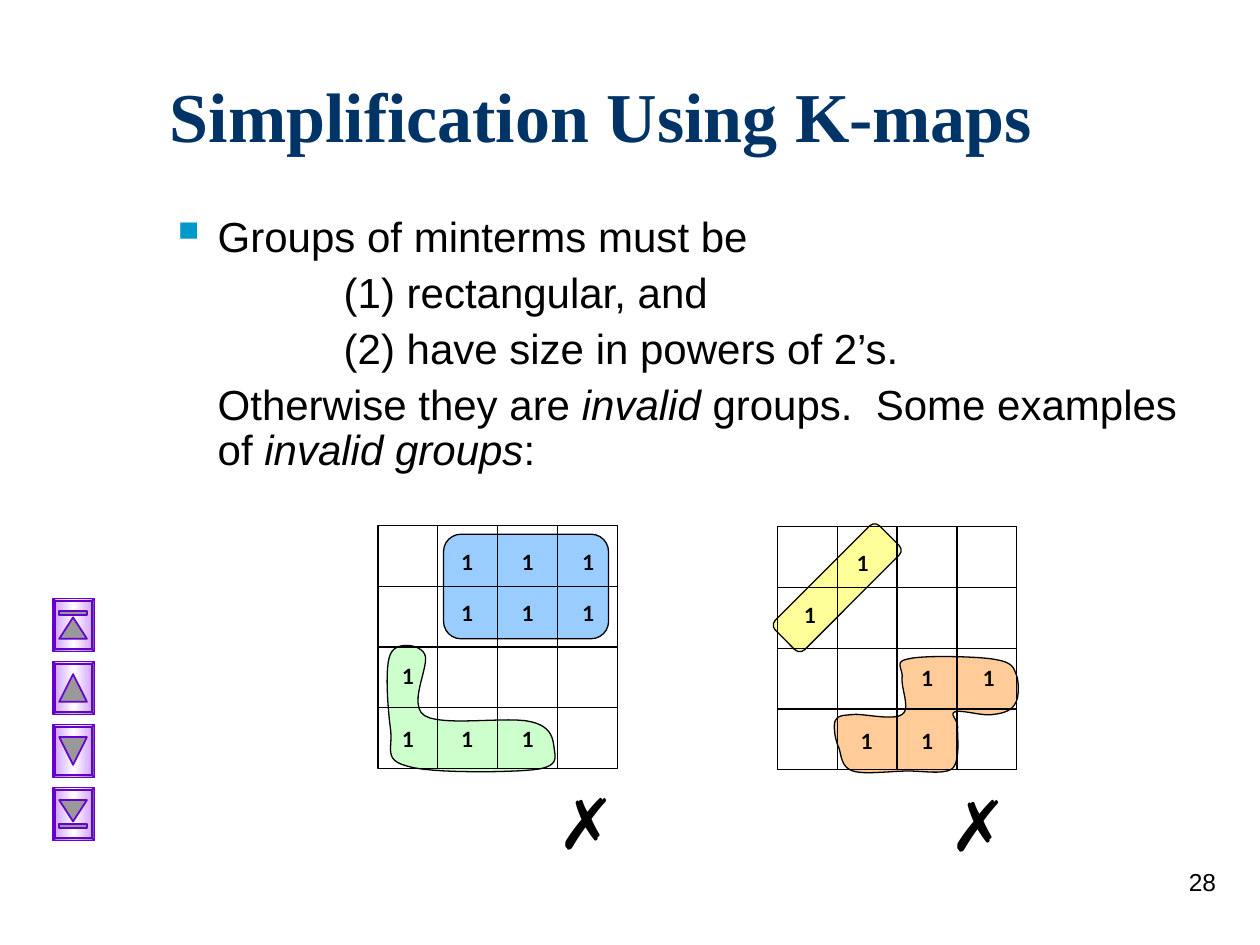
from copy import deepcopy
from dataclasses import dataclass
from typing import Optional

from lxml.etree import SubElement
from pptx import Presentation
from pptx.dml.color import RGBColor
from pptx.enum.shapes import MSO_CONNECTOR as Connector, MSO_SHAPE as Preset
from pptx.enum.text import MSO_ANCHOR as Anchor, PP_ALIGN as Align
from pptx.oxml.ns import qn
from pptx.util import Emu, Pt

EMU_PER_PX = 9144
BLACK, NAVY, CYAN = "000000", "003366", "0099CC"
PURPLE, LILAC, WHITE, GREY = "6600CC", "CC99FF", "FFFFFF", "999999"
GRID_W, GRID_H = 190, 193
ROW_TOPS = (14, 55, 105, 155)
ROW_HEIGHTS = (34, 41, 39, 38)
CURVE_STEPS = 12


@dataclass(frozen=True)
class Span:
    text: str
    italic: bool = False


@dataclass(frozen=True)
class Line:
    spans: tuple
    left: int = 0
    hanging: int = 0
    bullet: Optional[str] = None
    before: float = 0
    spacing: Optional[float] = None


@dataclass(frozen=True)
class Style:
    size: int
    font: str = "Arial"
    color: str = BLACK
    bold: bool = False
    align: Align = Align.LEFT
    anchor: Anchor = Anchor.TOP


@dataclass(frozen=True)
class RoundGroup:
    box: tuple
    color: str
    rotation: int = 0


@dataclass(frozen=True)
class CurvedGroup:
    start: tuple
    curves: tuple
    color: str


@dataclass(frozen=True)
class KMap:
    left: int
    top: int
    groups: tuple
    minterms: tuple
    cross: tuple


@dataclass(frozen=True)
class NavButton:
    preset: Preset
    icon_top: int
    icon_height: int
    bar_top: Optional[int] = None


def px(length: float) -> Emu:
    return Emu(round(length * EMU_PER_PX))


def rgb(color: str) -> RGBColor:
    return RGBColor.from_string(color)


def outline(shape, color: str = BLACK, width: float = 0.75) -> None:
    shape.line.color.rgb = rgb(color)
    shape.line.width = Pt(width)


def paint(shape, color: Optional[str], edge: str = BLACK, width: float = 0.75) -> None:
    shape.shadow.inherit = False
    if color:
        shape.fill.solid()
        shape.fill.fore_color.rgb = rgb(color)
    else:
        shape.fill.background()
    outline(shape, edge, width)


def add_preset(shapes, preset: Preset, box: tuple):
    return shapes.add_shape(preset, *map(px, box))


def add_bullet(paragraph, mark: str) -> None:
    props = paragraph._p.get_or_add_pPr()
    SubElement(SubElement(props, qn("a:buClr")), qn("a:srgbClr"), val=CYAN)
    SubElement(props, qn("a:buSzPct"), val="120000")
    SubElement(props, qn("a:buChar"), char=mark)


def add_text(shapes, box: tuple, lines: tuple, style: Style, wrap: bool = True) -> None:
    frame = shapes.add_textbox(*map(px, box)).text_frame
    frame.word_wrap = wrap
    frame.vertical_anchor = style.anchor
    for index, line in enumerate(lines):
        paragraph = frame.add_paragraph() if index else frame.paragraphs[0]
        if line.bullet:
            add_bullet(paragraph, line.bullet)
        props = paragraph._p.get_or_add_pPr()
        props.set("marL", str(px(line.left)))
        props.set("indent", str(px(-line.hanging)))
        paragraph.alignment = style.align
        if line.before:
            paragraph.space_before = Pt(line.before)
        if line.spacing:
            paragraph.line_spacing = line.spacing
        for span in line.spans:
            run = paragraph.add_run()
            run.text = span.text
            run.font.name, run.font.size = style.font, Pt(style.size)
            run.font.bold, run.font.italic = style.bold, span.italic
            run.font.color.rgb = rgb(style.color)


def add_label(shapes, box: tuple, text: str, style: Style, wrap: bool = True) -> None:
    add_text(shapes, box, (Line((Span(text),)),), style, wrap)


def bezier(p0: tuple, p1: tuple, p2: tuple, p3: tuple, t: float) -> tuple:
    u = 1 - t
    return tuple(px(u**3 * a + 3 * u * u * t * b + 3 * u * t * t * c + t**3 * d)
                 for a, b, c, d in zip(p0, p1, p2, p3))


def draw_curved(shapes, group: CurvedGroup) -> None:
    points, here = [], group.start
    for x1, y1, x2, y2, x3, y3 in group.curves:
        points += [bezier(here, (x1, y1), (x2, y2), (x3, y3), step / CURVE_STEPS)
                   for step in range(1, CURVE_STEPS + 1)]
        here = (x3, y3)
    builder = shapes.build_freeform(*map(px, group.start), scale=1.0)
    builder.add_line_segments(points, close=True)
    paint(builder.convert_to_shape(), group.color)


def draw_round(shapes, group: RoundGroup) -> None:
    loop = add_preset(shapes, Preset.ROUNDED_RECTANGLE, group.box)
    loop.rotation = group.rotation
    paint(loop, group.color)


def draw_rule(shapes, ends: tuple, frame, sides: Optional[tuple]) -> None:
    rule = shapes.add_connector(Connector.STRAIGHT, *map(px, ends))
    outline(rule)
    SubElement(rule._element.spPr, qn("a:effectLst"))
    if sides:
        rule.begin_connect(frame, sides[0])
        rule.end_connect(frame, sides[1])


def draw_kmap(slide_shapes, kmap: KMap) -> None:
    shapes = slide_shapes.add_group_shape().shapes
    for group in kmap.groups:
        (draw_curved if isinstance(group, CurvedGroup) else draw_round)(shapes, group)
    left, top = kmap.left, kmap.top
    right, bottom = left + GRID_W, top + GRID_H
    frame = add_preset(shapes, Preset.RECTANGLE, (left, top, GRID_W, GRID_H))
    paint(frame, None)
    for i in (1, 2, 3):
        x, y = left + GRID_W * i / 4, top + GRID_H * i / 4
        draw_rule(shapes, (left, y, right, y), frame, (1, 3) if i == 2 else None)
        draw_rule(shapes, (x, top, x, bottom), frame, (0, 2) if i == 2 else None)
    digit = Style(12, "Lato", bold=True, align=Align.CENTER)
    for row, offset in kmap.minterms:
        cell = (left + offset, top + ROW_TOPS[row], 48, ROW_HEIGHTS[row])
        add_label(shapes, cell, "1", digit)
    add_label(shapes, (*kmap.cross, 58, 77), "✗", Style(40), wrap=False)


def draw_button(shapes, top: int, button: NavButton) -> None:
    plate = add_preset(shapes, Preset.BEVEL, (42, top, 33, 42))
    plate.adjustments[0] = 0.06
    paint(plate, LILAC, PURPLE, 1)
    plate.fill.gradient()
    plate.fill.gradient_angle = 0
    first = plate._element.spPr.find(".//" + qn("a:gs"))
    first.addnext(deepcopy(first))
    for stop, color, position in zip(plate.fill.gradient_stops, (LILAC, WHITE, LILAC), (0, 0.5, 1)):
        stop.color.rgb = rgb(color)
        stop.position = position
    icon = add_preset(shapes, button.preset, (47, top + button.icon_top, 22, button.icon_height))
    paint(icon, GREY, PURPLE, 1)
    if button.bar_top is not None:
        paint(add_preset(shapes, Preset.RECTANGLE, (47, top + button.bar_top, 22, 3)), GREY, PURPLE, 1)


GREEN_L = CurvedGroup((423, 611), (
    (404, 613, 341, 614, 323, 608), (304, 603, 312, 594, 310, 579), (308, 564, 305, 529, 310, 519),
    (314, 509, 333, 511, 337, 519), (342, 527, 323, 559, 337, 568), (351, 577, 405, 568, 422, 573),
    (439, 577, 439, 588, 440, 595), (441, 602, 443, 609, 423, 611)), "CCFFCC")
ORANGE_STEP = CurvedGroup((787, 523), (
    (773, 521, 732, 520, 721, 523), (709, 525, 717, 531, 716, 538), (715, 546, 723, 563, 716, 567),
    (710, 572, 688, 567, 679, 567), (670, 568, 666, 567, 663, 572), (661, 576, 663, 588, 666, 594),
    (668, 601, 668, 609, 677, 612), (686, 615, 707, 612, 721, 612), (734, 612, 749, 615, 756, 610),
    (762, 604, 760, 586, 760, 579), (761, 571, 753, 567, 758, 565), (763, 563, 781, 569, 789, 567),
    (797, 566, 803, 564, 806, 558), (809, 553, 809, 540, 806, 534), (804, 528, 801, 525, 787, 523)), "FFCC99")
KMAPS = (
    KMap(300, 417, (GREEN_L, RoundGroup((352, 424, 131, 83), "99CCFF")),
         ((0, 47), (0, 95), (0, 143), (1, 47), (1, 95), (1, 143), (2, 0), (3, 0), (3, 47), (3, 95)), (433, 614)),
    KMap(617, 418, (ORANGE_STEP, RoundGroup((606, 450, 117, 33), "FFFF99", 315)),
         ((0, 44), (1, 2), (2, 95), (2, 144), (3, 47), (3, 95)), (744, 615)),
)
BUTTONS = (
    NavButton(Preset.ISOSCELES_TRIANGLE, 15, 17, 10), NavButton(Preset.ISOSCELES_TRIANGLE, 10, 22),
    NavButton(Preset.FLOWCHART_MERGE, 10, 22), NavButton(Preset.FLOWCHART_MERGE, 10, 17, 29),
)
RULES = (
    Line((Span("Groups of minterms must be"),), 38, 38, "▪", 0, 0.9),
    Line((Span("(1) rectangular, and"),), 138, before=6, spacing=0.9),
    Line((Span("(2) have size in powers of 2’s."),), 138, before=6, spacing=0.9),
    Line((Span("Otherwise they are "), Span("invalid", True), Span(" groups.  Some examples of "),
          Span("invalid groups", True), Span(":")), 38, before=6, spacing=0.9),
)


def main() -> None:
    deck = Presentation()
    deck.slide_width, deck.slide_height = px(1000), px(750)
    shapes = deck.slides.add_slide(deck.slide_layouts[6]).shapes
    add_label(shapes, (125, 50, 850, 81), "Simplification Using K-maps",
              Style(40, "Times New Roman", NAVY, bold=True, anchor=Anchor.MIDDLE))
    add_text(shapes, (125, 167, 850, 233), RULES, Style(24))
    for kmap in KMAPS:
        draw_kmap(shapes, kmap)
    for index, button in enumerate(BUTTONS):
        draw_button(shapes, 475 + 50 * index, button)
    add_label(shapes, (767, 683, 208, 50), "28", Style(14, align=Align.RIGHT))
    deck.save("out.pptx")


if __name__ == "__main__":
    main()
